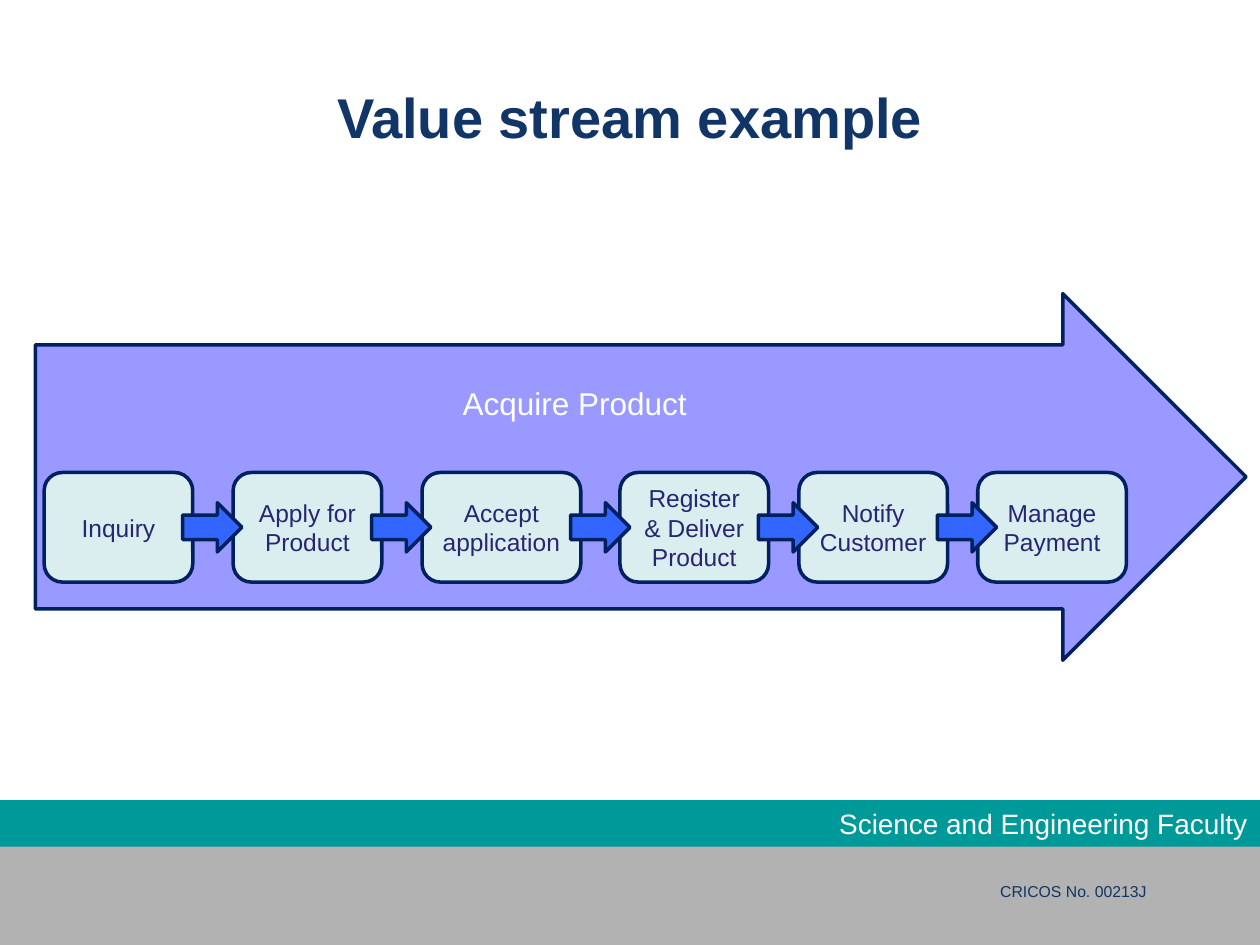
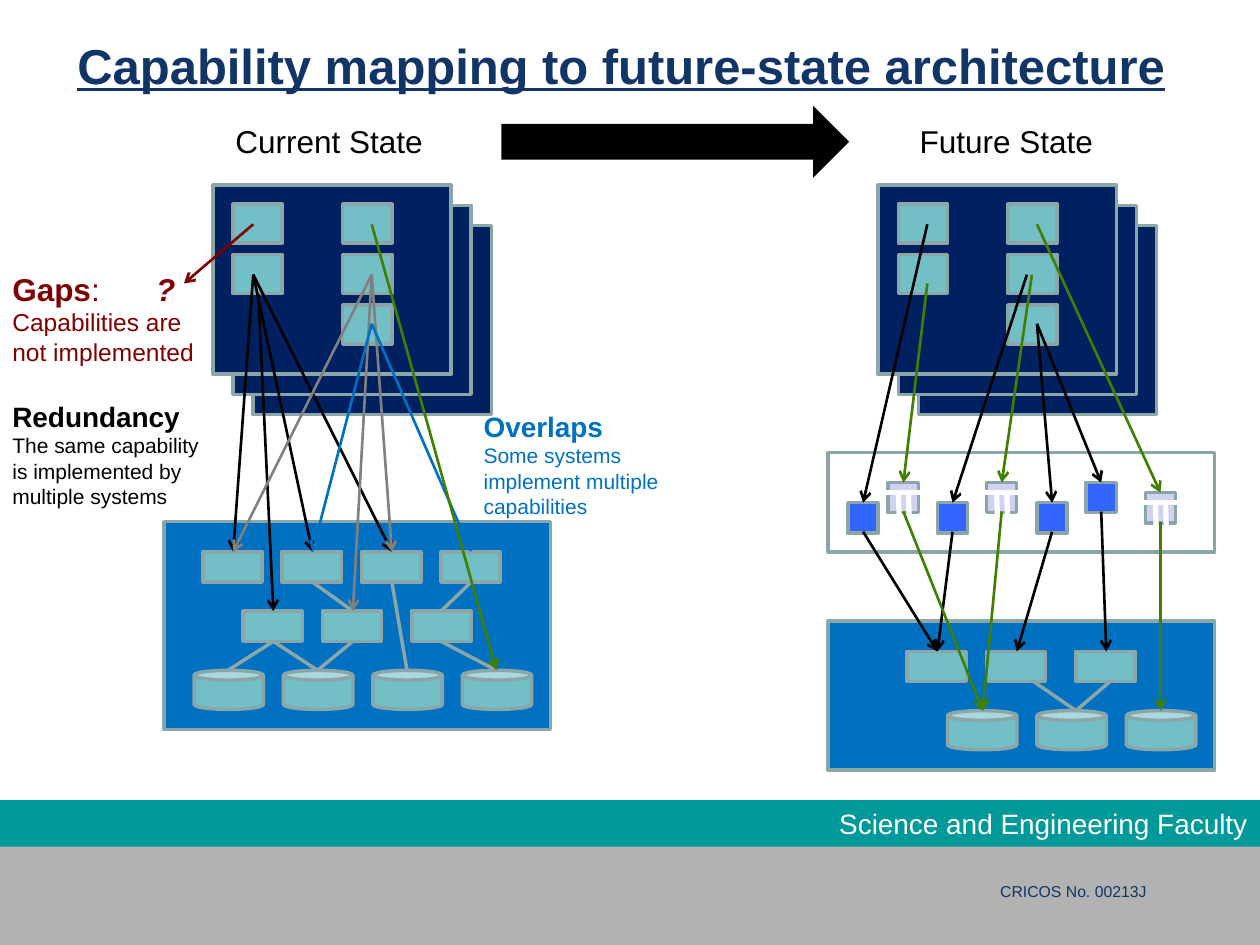
import lxml.etree
import pptx
import pptx.dml.color
import pptx.enum.shapes
import pptx.enum.text
import pptx.oxml.ns
import pptx.util

EMU_PER_PX = 9144
FORM = pptx.enum.shapes.MSO_SHAPE
ALIGN = pptx.enum.text.PP_ALIGN
ANCHOR = pptx.enum.text.MSO_ANCHOR

WHITE, BLACK = "FFFFFF", "000000"
TITLE_BLUE, NAVY, LABEL_BLUE = "103566", "002060", "262673"
GREY_BAND, TEAL_BAND = "B2B2B2", "009999"
LILAC, PALE_TEAL, ROYAL, LAVENDER = "9999FF", "DAEDEF", "3366FF", "D1D1F0"
TILE, EDGE, SYSTEM_BLUE = "72BFC5", "8AA6A8", "0070C0"
GREEN, GREY, MAROON = "408000", "808080", "800000"

STEPS = [
    ("Inquiry", 35, 118),
    ("Apply for Product", 185, 118),
    ("Accept application", 335, 126),
    ("Register & Deliver Product", 492, 118),
    ("Notify Customer", 634, 118),
    ("Manage Payment", 776, 118),
]
CURRENT_LINKS = [
    ((248, 462), [(280, 485)]),
    ((374, 462), [(350, 485)]),
    ((311, 462), [(323, 532)]),
    ((217, 509), [(181, 532), (252, 532)]),
    ((280, 509), [(252, 532)]),
    ((350, 509), [(394, 532)]),
]
FUTURE_LINKS = [((819, 540), [(854, 564)]), ((882, 540), [(854, 564)])]
CURRENT_MAPPING = [
    (BLACK, (201, 218), [(311, 438), (248, 438), (185, 438)]),
    (BLACK, (205, 233), [(217, 485)]),
    (GREY, (295, 218), [(185, 438), (311, 438), (280, 485)]),
    (SYSTEM_BLUE, (295, 257), [(374, 438), (248, 438)]),
    (GREEN, (295, 178), [(394, 532)]),
]
FUTURE_MAPPING = [
    (BLACK, (736, 178), [(685, 399)]),
    (BLACK, (685, 422), [(744, 517)]),
    (BLACK, (815, 218), [(756, 399)]),
    (BLACK, (756, 422), [(744, 517)]),
    (BLACK, (823, 257), [(835, 399), (874, 383)]),
    (BLACK, (835, 422), [(807, 517)]),
    (BLACK, (874, 406), [(878, 517)]),
    (GREEN, (736, 225), [(717, 383)]),
    (GREEN, (819, 218), [(795, 383)]),
    (GREEN, (823, 178), [(921, 391)]),
    (GREEN, (717, 406), [(780, 564)]),
    (GREEN, (795, 406), [(780, 564)]),
    (GREEN, (921, 414), [(921, 564)]),
]


def px(length):
    """Turn a length in px into EMU."""
    return pptx.util.Emu(length * EMU_PER_PX)


def rgb(code):
    """Turn a hex string into a colour."""
    return pptx.dml.color.RGBColor.from_string(code)


def write(frame, paragraphs, align=ALIGN.LEFT, **base):
    """Fill a frame with paragraphs, each a list of (text, format) runs."""
    for index, parts in enumerate(paragraphs):
        line = frame.add_paragraph() if index else frame.paragraphs[0]
        line.alignment = align
        for words, changes in parts:
            run = line.add_run()
            run.text = words
            look = {"name": "Arial", "bold": False, **base, **changes}
            run.font.color.rgb = rgb(look.pop("color"))
            look["size"] = pptx.util.Pt(look["size"])
            for attribute, value in look.items():
                setattr(run.font, attribute, value)


def add_title(slide, words, left, top, size, underline=False):
    """Place and format the slide title."""
    title = slide.shapes.title
    place = {"left": left, "top": top, "width": 900, "height": 125}
    for attribute, value in place.items():
        setattr(title, attribute, px(value))
    title.text_frame.auto_size = pptx.enum.text.MSO_AUTO_SIZE.NONE
    title.text_frame.vertical_anchor = ANCHOR.MIDDLE
    write(title.text_frame, [[(words, {})]], ALIGN.CENTER, size=size,
          bold=True, underline=underline, color=TITLE_BLUE)


def add_block(slide, form, box, fill, edge=None):
    """Draw a filled preset shape with an optional outline."""
    block = slide.shapes.add_shape(form, *map(px, box))
    block.shadow.inherit = False
    block.fill.solid()
    block.fill.fore_color.rgb = rgb(fill)
    if edge:
        block.line.color.rgb = rgb(edge)
        block.line.width = pptx.util.Pt(2)
    else:
        block.line.fill.background()
    return block


def add_note(slide, box, paragraphs, wrap=True, **look):
    """Place free text."""
    frame = slide.shapes.add_textbox(*map(px, box)).text_frame
    frame.word_wrap = wrap
    write(frame, paragraphs, **look)
    return frame


def add_line(slide, start, end, color, weight, arrow=False):
    """Draw a straight line, with an open arrowhead if asked."""
    line = slide.shapes.add_connector(
        pptx.enum.shapes.MSO_CONNECTOR.STRAIGHT, *map(px, (*start, *end)))
    line.line.color.rgb = rgb(color)
    line.line.width = pptx.util.Pt(weight)
    qn = pptx.oxml.ns.qn
    properties = line._element.spPr
    if arrow:
        lxml.etree.SubElement(properties.find(qn("a:ln")), qn("a:tailEnd"), type="arrow")
    lxml.etree.SubElement(properties, qn("a:effectLst"))


def add_links(slide, links):
    """Join systems with plain lines."""
    for start, ends in links:
        for end in ends:
            add_line(slide, start, end, EDGE, 2)


def add_mapping(slide, mapping):
    """Fan arrows out from each capability or service."""
    for color, start, ends in mapping:
        for end in ends:
            add_line(slide, start, end, color, 1.5, arrow=True)


def add_footer(slide):
    """Draw the bands and lines of text at the foot of a slide."""
    add_block(slide, FORM.RECTANGLE, (0, 659, 1000, 91), GREY_BAND)
    add_note(slide, (784, 695, 136, 25), [[("CRICOS No. 00213J", {})]], wrap=False,
             size=9, color=TITLE_BLUE)
    faculty = add_block(slide, FORM.RECTANGLE, (0, 635, 1000, 37), TEAL_BAND)
    write(faculty.text_frame, [[("Science and Engineering Faculty", {})]],
          ALIGN.RIGHT, size=16, color=WHITE)


def add_capabilities(slide, left):
    """Draw three stacked cards with capability tiles on the front one."""
    for shift in (32, 16, 0):
        add_block(slide, FORM.RECTANGLE, (left + shift, 147 + shift, 189, 150), NAVY, EDGE)
    for shift, count in ((16, 2), (103, 3)):
        for row in range(count):
            add_block(slide, FORM.RECTANGLE, (left + shift, 162 + 40 * row, 39, 31), TILE, EDGE)


def add_systems(slide, panel, application_rows, store_left, store_top, stores):
    """Draw a panel of applications above a row of data stores."""
    add_block(slide, FORM.RECTANGLE, panel, SYSTEM_BLUE, EDGE)
    for top, lefts in application_rows:
        for left in lefts:
            add_block(slide, FORM.RECTANGLE, (left, top, 47, 24), TILE, EDGE)
    for column in range(stores):
        add_block(slide, FORM.CAN, (store_left + 71 * column, store_top, 55, 31), TILE, EDGE)


def add_services(slide):
    """Draw the service layer with its solid and slotted services."""
    add_block(slide, FORM.RECTANGLE, (657, 359, 307, 79), WHITE, EDGE)
    for left, top in ((673, 399), (744, 399), (823, 399), (862, 383)):
        add_block(slide, FORM.RECTANGLE, (left, top, 24, 24), ROYAL, EDGE)
    for left, top in ((783, 383), (705, 383), (909, 391)):
        add_block(slide, FORM.RECTANGLE, (left, top, 24, 24), LAVENDER, EDGE)
        slot_top = top + 8
        add_line(slide, (left - 7, slot_top), (left + 32, slot_top), WHITE, 3)
        for slot in (left + 8, left + 16):
            add_line(slide, (slot, slot_top), (slot + 1, slot_top + 32), WHITE, 3)


def build_value_stream(slide):
    """Build the value stream slide."""
    add_footer(slide)
    add_title(slide, "Value stream example", 50, 30, 32)
    stream = add_block(slide, FORM.RIGHT_ARROW, (28, 233, 961, 291), LILAC, NAVY)
    stream.adjustments[0] = 0.72
    stream.text_frame.vertical_anchor = ANCHOR.TOP
    stream.text_frame.margin_top = px(31)
    write(stream.text_frame, [[("Acquire Product", {})]], ALIGN.CENTER, size=18, color=WHITE)
    for words, left, width in STEPS:
        step = add_block(slide, FORM.ROUNDED_RECTANGLE, (left, 375, width, 87), PALE_TEAL, NAVY)
        step.text_frame.word_wrap = True
        write(step.text_frame, [[(words, {})]], ALIGN.CENTER, size=14, color=LABEL_BLUE)
    for _, left, width in STEPS[:-1]:
        add_block(slide, FORM.RIGHT_ARROW, (left + width - 8, 399, 47, 39), ROYAL, NAVY)


def add_gaps(slide):
    """Describe the gaps and point to them."""
    gaps = add_note(slide, (0, 209, 170, 88), [
        [("Gaps", {"bold": True}), (":\t", {}), ("?", {"bold": True, "italic": True})],
        [("Capabilities are not implemented", {"size": 14})],
    ], size=18, color=MAROON)
    qn = pptx.oxml.ns.qn
    heading = gaps.paragraphs[0]._p.get_or_add_pPr()
    stops = lxml.etree.SubElement(heading, qn("a:tabLst"))
    lxml.etree.SubElement(stops, qn("a:tab"), pos=str(px(114)), algn="l")
    add_line(slide, (201, 178), (146, 225), MAROON, 1.5, arrow=True)


def build_capability_mapping(slide):
    """Build the capability mapping slide."""
    add_footer(slide)
    add_title(slide, "Capability mapping to future-state architecture", 43, -11, 28, True)
    for left in (169, 697):
        add_capabilities(slide, left)
    for words, left, width in (("Current State", 177, 170), ("Future State", 720, 159)):
        add_note(slide, (left, 92, width, 40), [[(words, {})]], size=18, color=BLACK)
    add_block(slide, FORM.RIGHT_ARROW, (398, 84, 276, 57), BLACK)
    add_gaps(slide)
    add_systems(slide, (130, 414, 307, 165),
                [(438, range(161, 351, 63)), (485, (193, 256, 327))], 154, 532, 4)
    add_links(slide, CURRENT_LINKS)
    add_systems(slide, (657, 493, 307, 118), [(517, (720, 783, 854))], 752, 564, 3)
    add_links(slide, FUTURE_LINKS)
    add_services(slide)
    add_mapping(slide, CURRENT_MAPPING)
    findings = [
        ("Redundancy", "The same capability is implemented by multiple systems", 0, 312, BLACK),
        ("Overlaps", "Some systems implement multiple capabilities", 374, 320, SYSTEM_BLUE),
    ]
    for heading, detail, left, top, color in findings:
        add_note(slide, (left, top, 170, 98),
                 [[(heading, {"size": 16, "bold": True})], [(detail, {})]],
                 size=12, color=color)
    add_mapping(slide, FUTURE_MAPPING)


def main():
    """Build and save the presentation."""
    deck = pptx.Presentation()
    deck.slide_width, deck.slide_height = px(1000), px(750)
    title_only = deck.slide_layouts[5]
    for build in (build_value_stream, build_capability_mapping):
        build(deck.slides.add_slide(title_only))
    deck.save("out.pptx")


if __name__ == "__main__":
    main()
